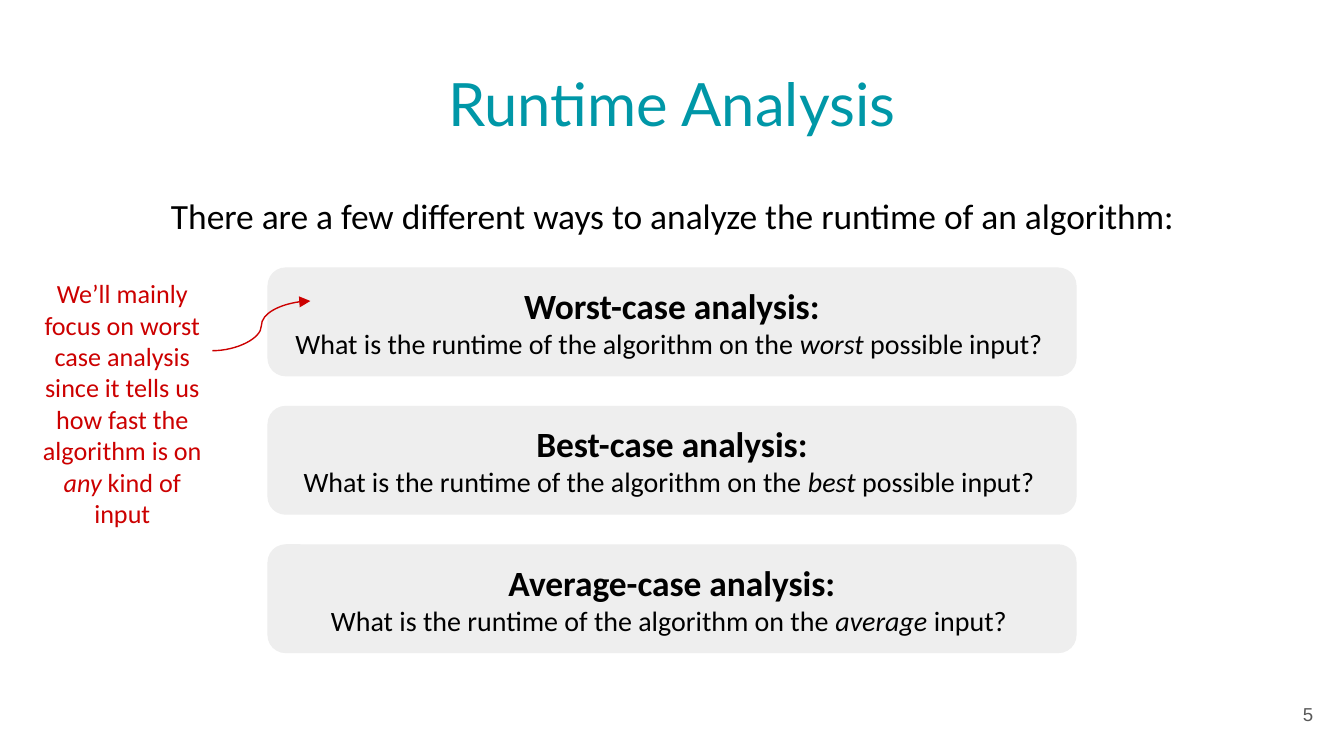
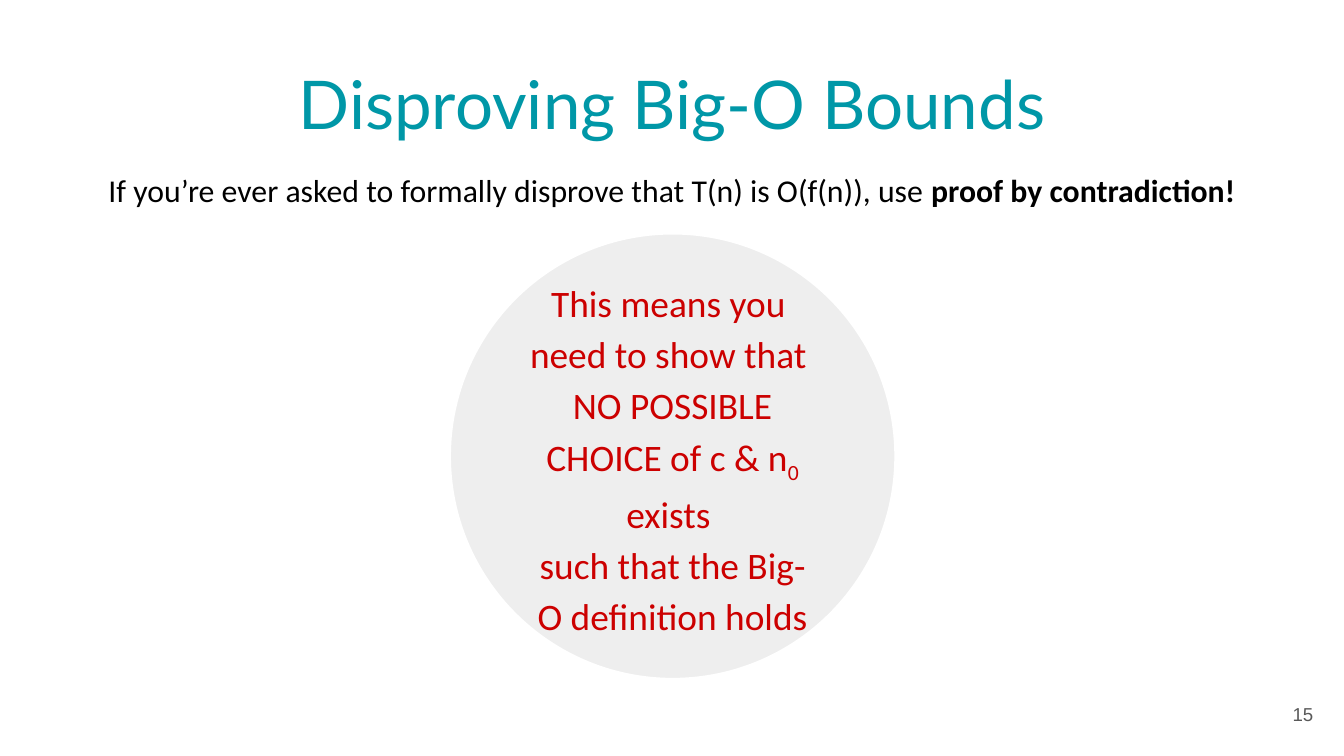
from pptx import Presentation
from pptx.dml.color import RGBColor
from pptx.enum.shapes import MSO_CONNECTOR, MSO_SHAPE
from pptx.enum.text import MSO_ANCHOR, PP_ALIGN
from pptx.oxml.ns import qn
from pptx.util import Inches, Pt
from lxml.etree import SubElement

COLORS = {"teal": "0097A7", "red": "CC0000", "black": "000000",
          "gray": "595959", "panel": "EEEEEE", "white": "FFFFFF"}
HUE = {name: RGBColor.from_string(code) for name, code in COLORS.items()}
BODY = "Calibri"


def write(shape, paras, color="black", font=BODY, align=PP_ALIGN.CENTER,
          anchor=MSO_ANCHOR.MIDDLE, space=None):
    """Fill a shape; each paragraph is (size, [(text, style), ...])."""
    frame = shape.text_frame
    frame.word_wrap = True
    frame.vertical_anchor = anchor
    frame.margin_left = frame.margin_right = Inches(0.1)
    frame.margin_top = frame.margin_bottom = Inches(0.1)
    for i, (size, parts) in enumerate(paras):
        par = frame.add_paragraph() if i else frame.paragraphs[0]
        par.alignment = align
        if space:
            par.line_spacing = space
        for text, style in parts:
            for j, line in enumerate(text.split("\n")):
                if j:
                    par.add_line_break()
                run = par.add_run()
                run.text = line
                run.font.name, run.font.size = font, Pt(size)
                run.font.color.rgb = HUE[color]
                run.font.bold = style == "bold"
                run.font.italic = style == "italic"
                if style == "sub":
                    run.font._element.set("baseline", "-25000")


def panel(slide, kind, *box):
    """Add a pale gray shape without outline or shadow."""
    shape = slide.shapes.add_shape(kind, *map(Inches, box))
    shape.shadow.inherit = False
    shape.fill.solid()
    shape.fill.fore_color.rgb = HUE["panel"]
    shape.line.fill.background()
    return shape


# Widescreen page, 16 to 9
deck = Presentation()
deck.slide_width, deck.slide_height = Inches(10), Inches(10 * 9 / 16)

# Shared title, lead line and page number
pages = [
    ("Runtime Analysis", 32, "5", (0.32, 1.3, 9.37, 0.46), 19,
     [("There are a few different ways to analyze the runtime of an algorithm:", "")]),
    ("Disproving Big-O Bounds", 36, "15", (0.53, 1.13, 8.94, 0.6), 17,
     [("If you’re ever asked to formally disprove that T(n) is O(f(n)), use", ""),
      (" proof by contradiction!", "bold")]),
]
slides = []
for title, size, page, box, lead, parts in pages:
    slide = deck.slides.add_slide(deck.slide_layouts[6])
    slides.append(slide)
    head = slide.shapes.add_textbox(*map(Inches, (0.34, 0.41, 9.32, 0.71)))
    head.line.color.rgb = HUE["white"]
    head.line.width = Pt(2.25)
    write(head, [(size, [(title, "")])], "teal", "Lato")
    intro = slide.shapes.add_textbox(*map(Inches, box))
    write(intro, [(lead, parts)], anchor=MSO_ANCHOR.TOP, space=1.15)
    foot = slide.shapes.add_textbox(*map(Inches, (9.27, 5.1, 0.6, 0.43)))
    write(foot, [(10, [(page, "")])], "gray", "Arial", PP_ALIGN.RIGHT)
first, second = slides

# Slide 1: three kinds of analysis
cases = [("Worst", "possible input? "), ("Best", "possible input? "),
         ("Average", "input? ")]
for i, (case, end) in enumerate(cases):
    card = panel(first, MSO_SHAPE.ROUNDED_RECTANGLE, 1.99, 1.99 + 1.03 * i, 6.02, 0.81)
    write(card, [
        (19, [(f"{case}-case analysis:", "bold")]),
        (15, [("What is the runtime of the algorithm on the ", ""),
              (f"{case.lower()} ", "italic"), (end, "")]),
    ])

# Slide 1: side note and curved arrow
note = first.shapes.add_textbox(*map(Inches, (0.17, 1.85, 1.48, 2.3)))
write(note, [(14, [
    ("We’ll mainly focus on worst case analysis since it tells us "
     "how fast the algorithm is on ", ""),
    ("any", "italic"), (" kind of input", "")])], "red")
arrow = first.shapes.add_connector(
    MSO_CONNECTOR.CURVE, *map(Inches, (1.58, 2.61, 2.31, 2.24)))
arrow.line.color.rgb = HUE["red"]
arrow.line.width = Pt(0.75)
SubElement(arrow.line._get_or_add_ln(), qn("a:tailEnd"), type="triangle")
SubElement(arrow._element.spPr, qn("a:effectLst"))

# Slide 2: what to show
disc = panel(second, MSO_SHAPE.OVAL, 3.34, 1.73, 3.33, 3.33)
disc.line.color.rgb = HUE["white"]
disc.line.width = Pt(2.25)
write(disc, [(20, [
    ("This means you \nneed to show that \nNO POSSIBLE CHOICE of c & n", ""),
    ("0", "sub"),
    (" exists \nsuch that the Big-O definition holds", "")])], "red", space=1.14)

deck.save("out.pptx")
